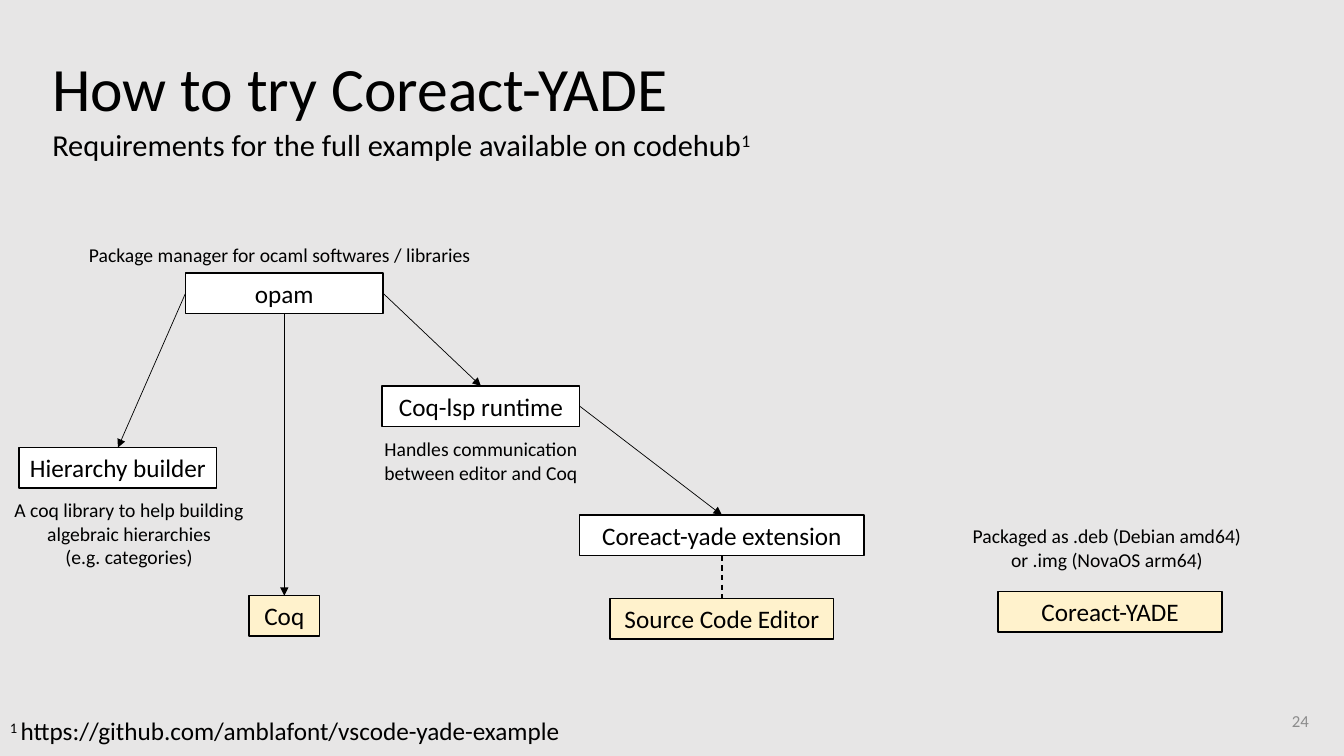
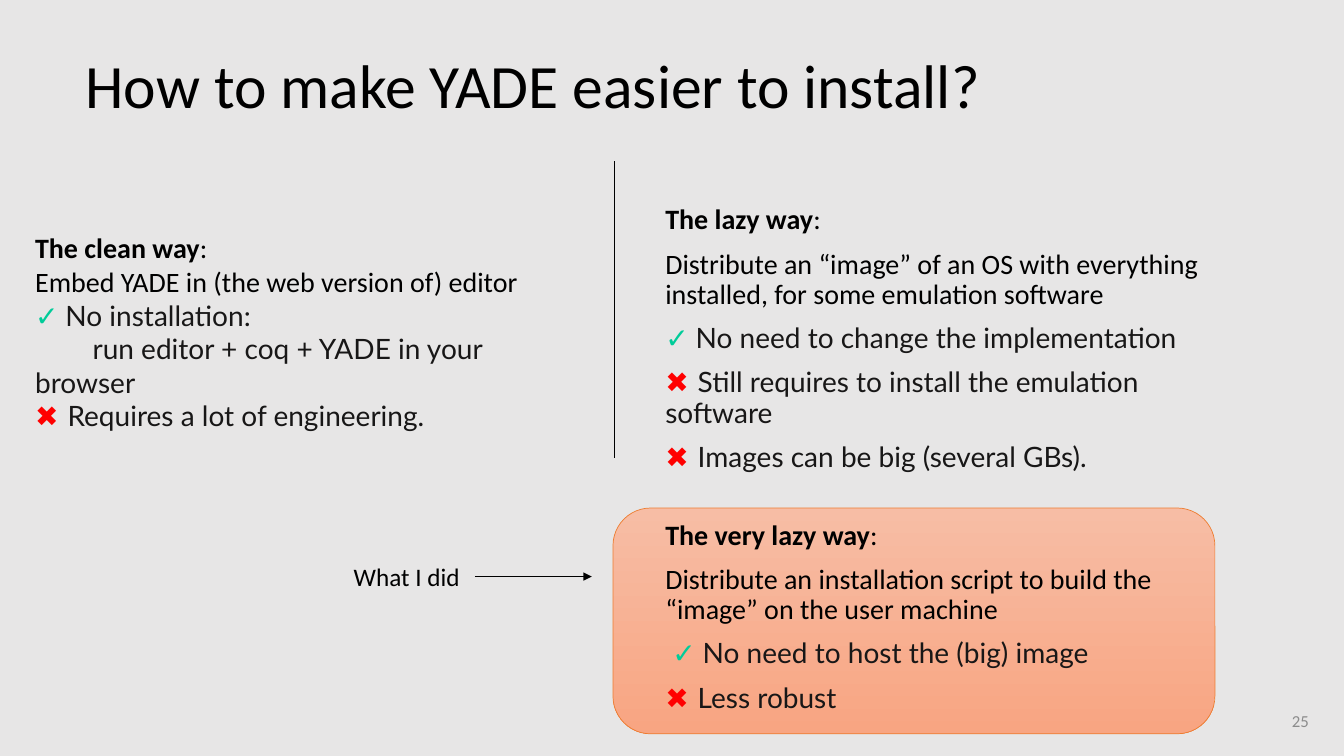
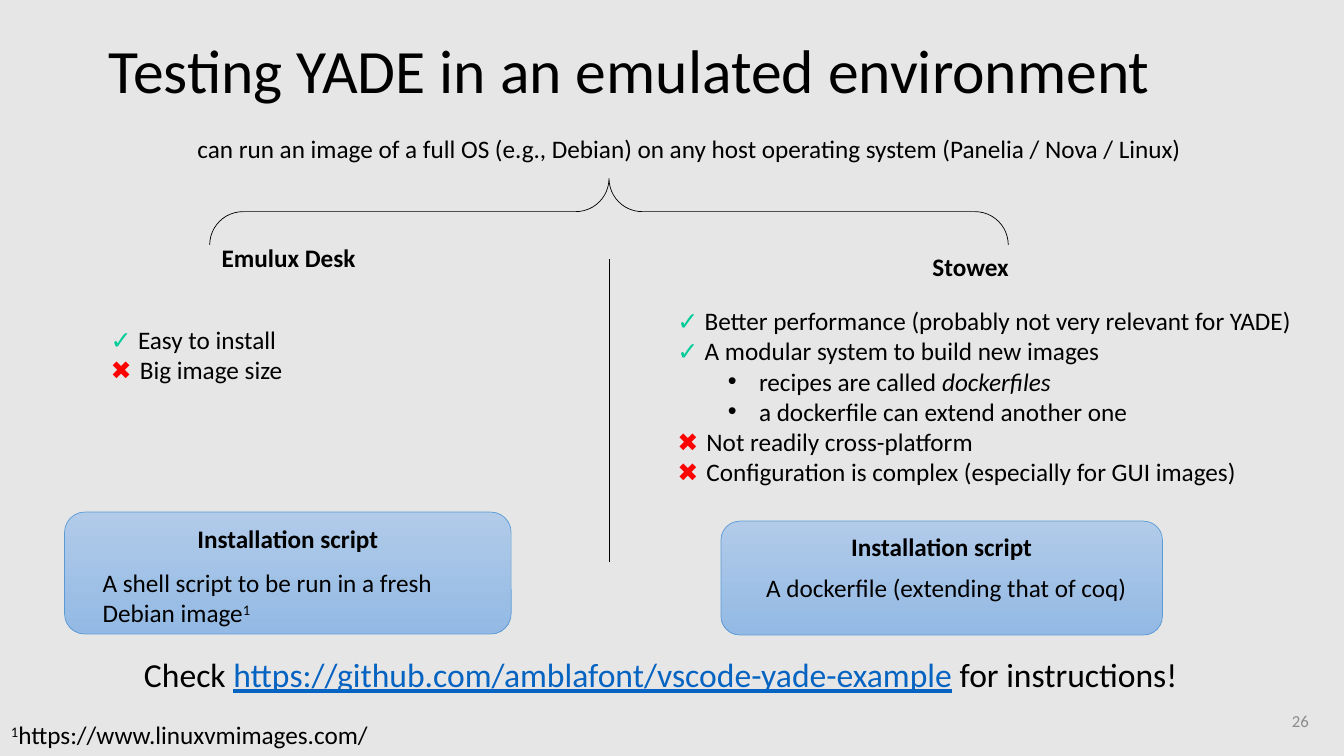
from dataclasses import dataclass
from typing import NamedTuple, Optional

from lxml import etree
from pptx import Presentation
from pptx.dml.color import RGBColor
from pptx.enum.dml import MSO_LINE
from pptx.enum.shapes import MSO_CONNECTOR, MSO_SHAPE
from pptx.enum.text import MSO_ANCHOR, PP_ALIGN
from pptx.oxml.ns import qn
from pptx.util import Inches, Pt

LEFT, CENTER, RIGHT = PP_ALIGN.LEFT, PP_ALIGN.CENTER, PP_ALIGN.RIGHT
TOP, MIDDLE = MSO_ANCHOR.TOP, MSO_ANCHOR.MIDDLE
STRAIGHT = MSO_CONNECTOR.STRAIGHT
DASH = MSO_LINE.DASH
RECT, ROUNDED, BRACE = MSO_SHAPE.RECTANGLE, MSO_SHAPE.ROUNDED_RECTANGLE, MSO_SHAPE.LEFT_BRACE
# Connection sites of a rectangle
SITE_TOP, SITE_LEFT, SITE_BOTTOM, SITE_RIGHT = range(4)


@dataclass(frozen=True)
class Theme:
    font: str = "Calibri"
    alt_font: str = "Lato"
    cross_font: str = "DejaVu Sans"
    background: str = "E7E6E6"
    ink: str = "000000"
    soft_ink: str = "181717"
    muted: str = "8C8C8C"
    paper: str = "FFFFFF"
    cream: str = "FFF2CC"
    good: str = "00CC99"
    bad: str = "FF0000"
    link: str = "0563C1"
    orange: tuple[str, str, str] = ("F7BDA5", "F8A582", "ED7D31")
    blue: tuple[str, str, str] = ("B1CBE9", "93B9E4", "5B9BD5")
    title: float = 44
    callout: float = 24
    subtitle: float = 21.7
    body: float = 20
    label: float = 18
    note: float = 14
    number: float = 12
    hairline: float = 0.5
    line: float = 1


THEME = Theme()


class Box(NamedTuple):
    left: float
    top: float
    width: float
    height: float

    def lengths(self) -> list[int]:
        return [Inches(value) for value in self]


class Run(NamedTuple):
    """A piece of text and what sets it apart from its paragraph."""
    text: str
    font: Optional[str] = None
    color: Optional[str] = None
    bold: Optional[bool] = None
    italic: Optional[bool] = None
    underline: Optional[bool] = None
    raised: bool = False


@dataclass(frozen=True)
class Para:
    runs: tuple[Run, ...]
    bold: bool = False
    bullet: bool = False
    indent: float = 0


@dataclass(frozen=True)
class Style:
    size: float
    align: PP_ALIGN = LEFT
    anchor: MSO_ANCHOR = TOP
    color: str = THEME.ink
    spacing: Optional[float] = None
    before: float = 0


TITLE = Style(THEME.title, anchor=MIDDLE, spacing=0.9)
SUBTITLE = Style(THEME.subtitle, spacing=0.7)
BODY = Style(THEME.body)
SPACED_BODY = Style(THEME.body, spacing=0.9, before=10)
LABEL = Style(THEME.label)
CENTERED_LABEL = Style(THEME.label, CENTER)
NODE_LABEL = Style(THEME.label, CENTER, MIDDLE)
NOTE = Style(THEME.note, CENTER)
CALLOUT = Style(THEME.callout)
PAGE_NUMBER = Style(THEME.number, RIGHT, MIDDLE, THEME.muted)


def plain(*texts: str) -> list[Para]:
    return [Para((Run(text),)) for text in texts]


def heading(text: str) -> Para:
    return Para((Run(text, bold=True), Run(":")))


def pro(text: str, font: Optional[str] = None, color: Optional[str] = None,
        indent: float = 0) -> Para:
    return Para((Run("✓ ", THEME.alt_font, THEME.good, True), Run(text, font, color)),
                indent=indent)


def con(text: str, font: Optional[str] = None, color: Optional[str] = None) -> Para:
    return Para((Run("✖ ", THEME.cross_font, THEME.bad), Run(text, font, color)))


def bullet(*runs: Run) -> Para:
    return Para(runs, bullet=True)


def write_run(paragraph, run: Run) -> None:
    piece = paragraph.add_run()
    piece.text = run.text
    if run.font:
        piece.font.name = run.font
    if run.color:
        piece.font.color.rgb = RGBColor.from_string(run.color)
    for trait in ("bold", "italic", "underline"):
        if getattr(run, trait) is not None:
            setattr(piece.font, trait, getattr(run, trait))
    if run.raised:
        piece.font._element.set("baseline", "30000")


def write(frame, paras: list[Para], style: Style) -> None:
    frame.word_wrap = True
    frame.vertical_anchor = style.anchor
    for index, para in enumerate(paras):
        paragraph = frame.add_paragraph() if index else frame.paragraphs[0]
        properties = paragraph._p.get_or_add_pPr()
        if para.bullet:
            paragraph.level = 1
            properties.set("marL", str(Inches(0.81)))
            properties.set("indent", str(Inches(-0.31)))
            etree.SubElement(properties, qn("a:buFont")).set("typeface", "Arial")
            etree.SubElement(properties, qn("a:buChar")).set("char", "•")
        elif para.indent:
            properties.set("marL", "0")
            properties.set("indent", str(Inches(para.indent)))
        paragraph.alignment = style.align
        if style.spacing:
            paragraph.line_spacing = style.spacing
        if index and style.before:
            paragraph.space_before = Pt(style.before)
        paragraph.font.size = Pt(style.size)
        paragraph.font.name = THEME.font
        paragraph.font.bold = para.bold
        paragraph.font.color.rgb = RGBColor.from_string(style.color)
        for run in para.runs:
            write_run(paragraph, run)


def add_text(slide, box: Box, paras: list[Para], style: Style) -> None:
    write(slide.shapes.add_textbox(*box.lengths()).text_frame, paras, style)


def set_line(line, color: str, width: float) -> None:
    line.color.rgb = RGBColor.from_string(color)
    line.width = Pt(width)


def add_node(slide, box: Box, name: str, fill: str):
    node = slide.shapes.add_shape(RECT, *box.lengths())
    node.shadow.inherit = False
    node.fill.solid()
    node.fill.fore_color.rgb = RGBColor.from_string(fill)
    set_line(node.line, THEME.ink, THEME.line)
    write(node.text_frame, plain(name), NODE_LABEL)
    return node


def add_panel(slide, box: Box, colors: tuple[str, str, str]):
    """Rounded panel shaded from top to bottom."""
    start, end, edge = colors
    panel = slide.shapes.add_shape(ROUNDED, *box.lengths())
    panel.shadow.inherit = False
    panel.fill.gradient()
    panel.fill.gradient_angle = 270
    for stop, color in zip(panel.fill.gradient_stops, (start, end)):
        stop.color.rgb = RGBColor.from_string(color)
    set_line(panel.line, edge, THEME.hairline)
    return panel


def add_line(slide, start: tuple[float, float], end: tuple[float, float],
             width: float = THEME.hairline, arrow: bool = False, dashed: bool = False):
    ends = [Inches(value) for value in (*start, *end)]
    connector = slide.shapes.add_connector(STRAIGHT, *ends)
    set_line(connector.line, THEME.ink, width)
    if dashed:
        connector.line.dash_style = DASH
    properties = connector._element.spPr
    if arrow:
        etree.SubElement(properties.find(qn("a:ln")), qn("a:tailEnd")).set("type", "triangle")
    etree.SubElement(properties, qn("a:effectLst"))
    return connector


def link_nodes(slide, source, source_site: int, target, target_site: int,
               width: float = THEME.hairline, arrow: bool = True, dashed: bool = False) -> None:
    connector = add_line(slide, (0, 0), (1, 1), width, arrow, dashed)
    connector.begin_connect(source, source_site)
    connector.end_connect(target, target_site)


def start_slide(deck, title: str, left: float, top: float, number: int):
    slide = deck.slides.add_slide(deck.slide_layouts[6])
    add_text(slide, Box(left, top, 11.5, 1.45), plain(title), TITLE)
    add_text(slide, Box(10.08, 6.95, 3, 0.4), plain(str(number)), PAGE_NUMBER)
    return slide


def build_requirements(deck) -> None:
    slide = start_slide(deck, "How to try Coreact-YADE", 0.42, 0.18, 24)
    add_text(slide, Box(0.42, 1.3, 7.45, 0.64),
             [Para((Run("Requirements for the full example available on codehub"),
                    Run("1", raised=True)))], SUBTITLE)

    def node(name: str, left: float, top: float, width: float, fill: str = THEME.paper):
        return add_node(slide, Box(left, top, width, 0.4), name, fill)

    coq = node("Coq", 2.47, 5.91, 0.7, THEME.cream)
    runtime = node("Coq-lsp runtime", 3.79, 3.83, 1.96)
    builder = node("Hierarchy builder", 0.19, 4.44, 1.96)
    opam = node("opam", 1.84, 2.71, 1.96)
    editor = node("Source Code Editor", 6.05, 5.94, 2.22, THEME.cream)
    extension = node("Coreact-yade extension", 5.75, 5.11, 2.82)
    node("Coreact-YADE", 9.9, 5.87, 2.22, THEME.cream)

    link_nodes(slide, opam, SITE_BOTTOM, coq, SITE_TOP, THEME.line)
    link_nodes(slide, opam, SITE_LEFT, builder, SITE_TOP)
    link_nodes(slide, opam, SITE_RIGHT, runtime, SITE_TOP)
    link_nodes(slide, runtime, SITE_RIGHT, extension, SITE_TOP)
    link_nodes(slide, extension, SITE_BOTTOM, editor, SITE_TOP, THEME.line,
               arrow=False, dashed=True)

    notes = (
        (Box(0.02, 4.89, 2.52, 0.81),
         ("A coq library to help building algebraic hierarchies", "(e.g. categories)")),
        (Box(3.43, 4.29, 2.68, 0.57), ("Handles communication between editor and Coq",)),
        (Box(0.62, 2.36, 4.31, 0.34), ("Package manager for ocaml softwares / libraries",)),
        (Box(9.4, 5.15, 3.16, 0.57),
         ("Packaged as .deb (Debian amd64)", "or .img (NovaOS arm64)")),
    )
    for box, lines in notes:
        add_text(slide, box, plain(*lines), NOTE)
    add_text(slide, Box(0, 7.05, 6.06, 0.4),
             [Para((Run("1 ", raised=True),
                    Run("https://github.com/amblafont/vscode-yade-example")))], LABEL)


def build_options(deck) -> None:
    slide = start_slide(deck, "How to make YADE easier to install?", 0.75, 0.15, 25)
    add_panel(slide, Box(6.08, 5.04, 5.97, 2.24), THEME.orange)
    point = (THEME.alt_font, THEME.soft_ink)

    add_text(slide, Box(0.25, 2.24, 5.63, 1.78), [
        heading("The clean way"),
        *plain("Embed YADE in (the web version of) editor"),
        pro("No installation:", *point),
        Para((Run("run editor + coq + YADE in your browser", *point),), indent=0.57),
        con("Requires a lot of engineering.", *point),
    ], BODY)
    add_text(slide, Box(6.5, 1.99, 5.82, 2.92), [
        heading("The lazy way"),
        *plain("Distribute an “image” of an OS with everything installed, "
               "for some emulation software"),
        pro("No need to change the implementation", *point),
        con("Still requires to install the emulation software", *point),
        con("Images can be big (several GBs).", *point),
    ], SPACED_BODY)
    add_text(slide, Box(6.5, 5.12, 5.82, 2.24), [
        heading("The very lazy way"),
        *plain("Distribute an installation script to build the “image” on the user machine"),
        pro("No need to host the (big) image", *point, indent=0.07),
        con("Less robust", *point),
    ], SPACED_BODY)

    add_line(slide, (6.09, 1.6), (6.09, 4.54))
    add_line(slide, (4.71, 5.72), (5.87, 5.72), arrow=True)
    add_text(slide, Box(3.41, 5.52, 2.01, 0.4), plain("What I did"), LABEL)


def build_emulation(deck) -> None:
    slide = start_slide(deck, "Testing YADE in an emulated environment", 0.98, 0, 26)
    add_text(slide, Box(1.86, 1.27, 10.37, 0.4),
             plain("can run an image of a full OS (e.g., Debian) on any host operating system "
                   "(Panelia / Nova / Linux)"), LABEL)

    brace = slide.shapes.add_shape(BRACE, *Box(5.71, -1.86, 0.66, 7.92).lengths())
    brace.shadow.inherit = False
    brace.rotation = 90
    brace.adjustments[0] = 0.5
    brace.fill.background()
    set_line(brace.line, THEME.ink, THEME.hairline)
    add_line(slide, (6.04, 2.57), (6.04, 5.58))

    for name, left, top in (("Emulux Desk", 2.1, 2.36), ("Stowex", 9.15, 2.44)):
        add_text(slide, Box(left, top, 1.74, 0.4), [Para((Run(name),), bold=True)], LABEL)
    add_text(slide, Box(1, 3.17, 2.84, 0.71),
             [pro("Easy to install"), con("Big image size")], LABEL)
    add_text(slide, Box(6.62, 2.98, 6.47, 1.92), [
        pro("Better performance (probably not very relevant for YADE)"),
        pro("A modular system to build new images"),
        bullet(Run("recipes are called "), Run("dockerfiles", italic=True)),
        bullet(Run("a dockerfile can extend another one")),
        con("Not readily cross-platform"),
        con("Configuration is complex (especially for GUI images)"),
    ], LABEL)

    scripts = (
        (Box(0.64, 5.08, 4.43, 1.21), Box(0.92, 5.58, 3.87, 0.71),
         (Run("A shell script to be run in a fresh Debian image"), Run("1", raised=True))),
        (Box(7.15, 5.17, 4.38, 1.13), Box(7.5, 5.63, 3.87, 0.4),
         (Run("A dockerfile (extending that of coq)"),)),
    )
    for panel_box, detail_box, detail in scripts:
        panel = add_panel(slide, panel_box, THEME.blue)
        write(panel.text_frame, [Para((Run("Installation script"),), bold=True)], CENTERED_LABEL)
        add_text(slide, detail_box, [Para(detail)], LABEL)

    add_text(slide, Box(1.33, 6.44, 10.67, 0.5), [Para((
        Run("Check "),
        Run("https://github.com/amblafont/vscode-yade-example", color=THEME.link, underline=True),
        Run(" for instructions!"),
    ))], CALLOUT)
    add_text(slide, Box(0.01, 7.09, 6.66, 0.4),
             [Para((Run("1", raised=True), Run("https://www.linuxvmimages.com/")))], LABEL)


def main() -> None:
    deck = Presentation()
    deck.slide_width, deck.slide_height = Inches(13.33), Inches(7.5)
    backdrop = deck.slide_master.background.fill
    backdrop.solid()
    backdrop.fore_color.rgb = RGBColor.from_string(THEME.background)
    build_requirements(deck)
    build_options(deck)
    build_emulation(deck)
    deck.save("out.pptx")


if __name__ == "__main__":
    main()
